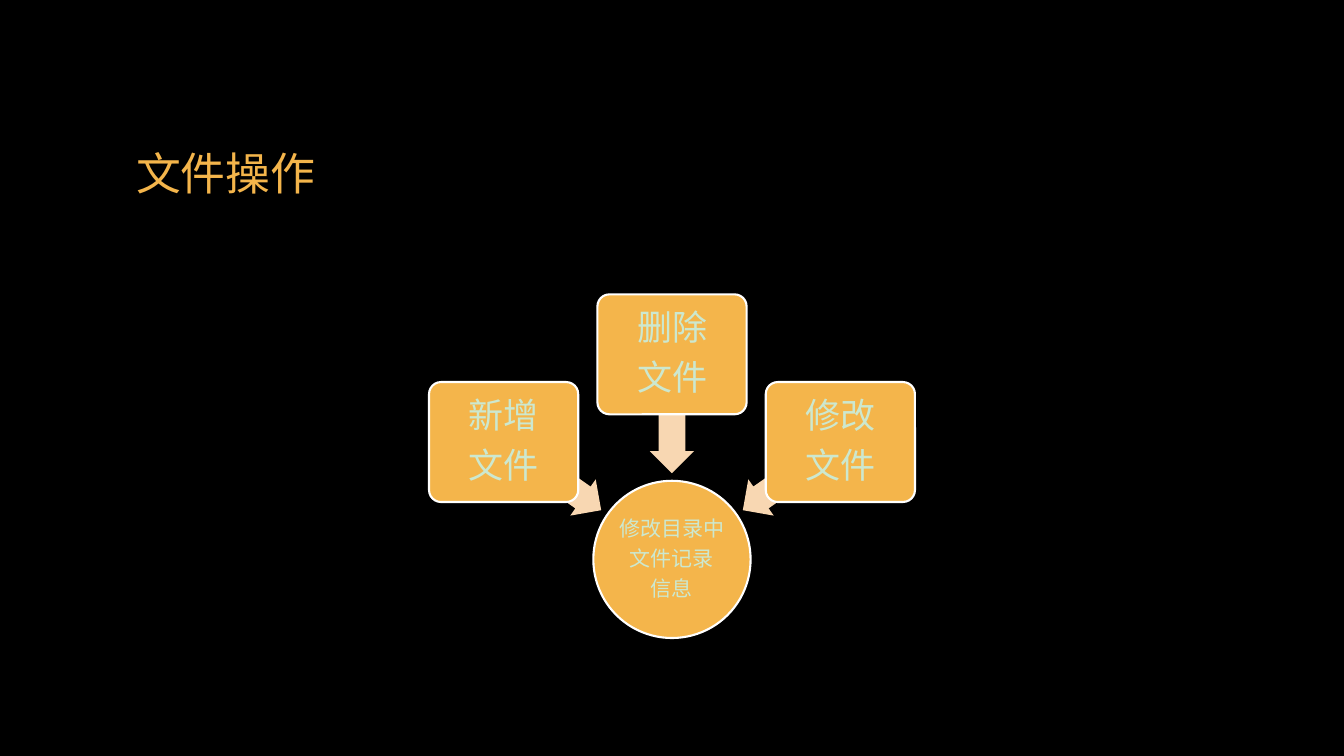
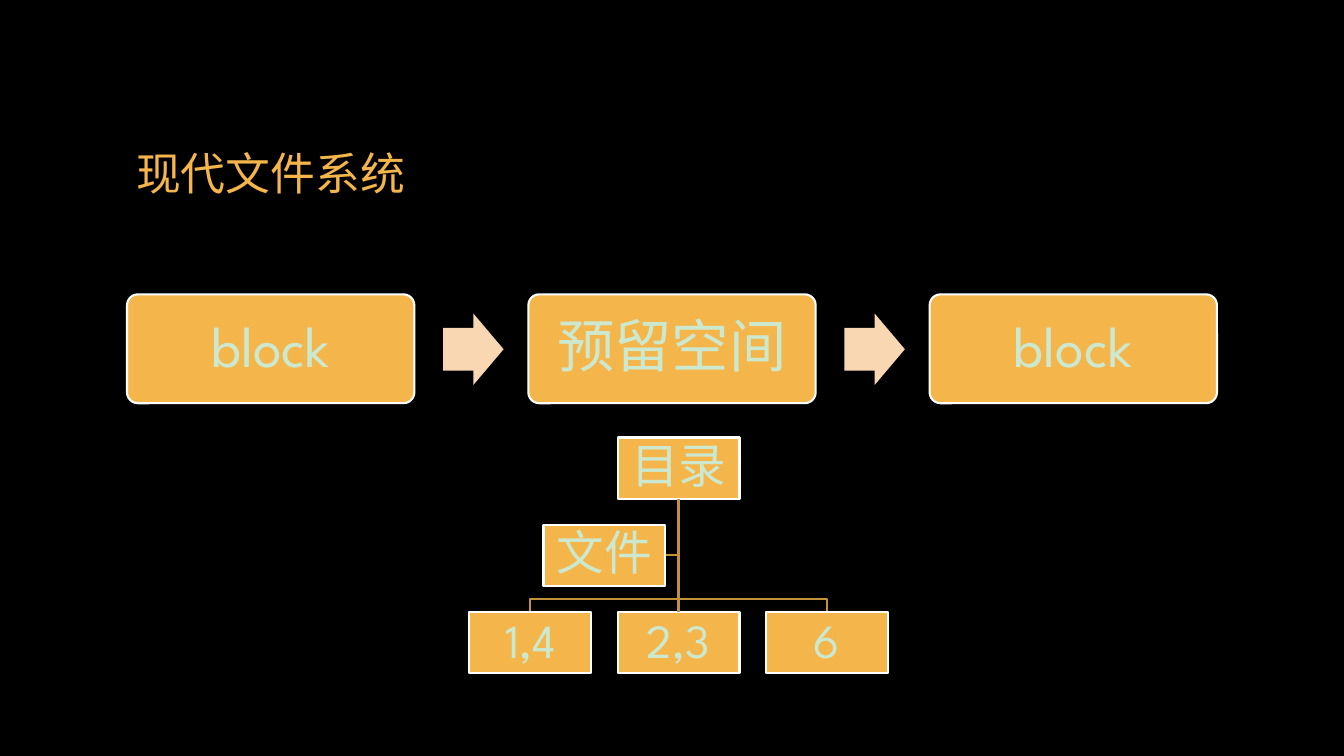
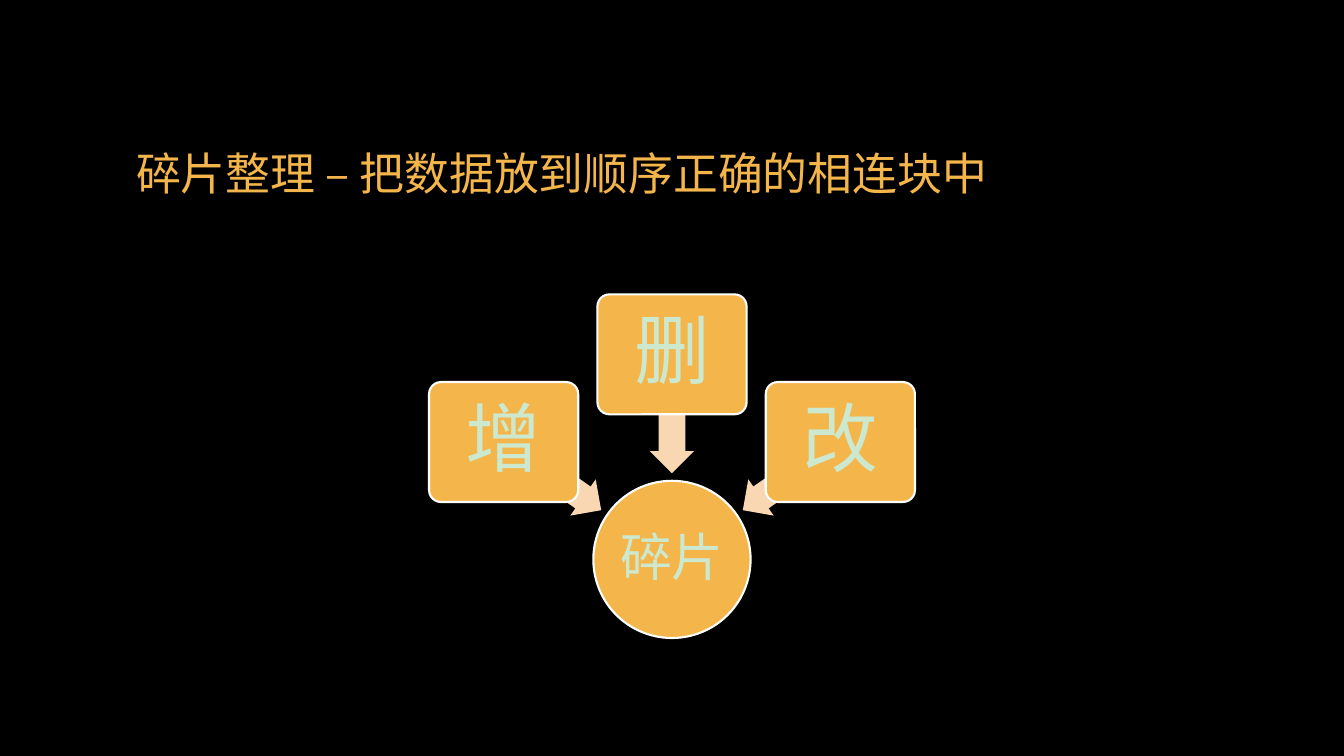
from lxml import etree
from pptx import Presentation
from pptx.dml.color import RGBColor
from pptx.enum.shapes import MSO_CONNECTOR, MSO_SHAPE
from pptx.enum.text import MSO_ANCHOR, MSO_AUTO_SIZE, PP_ALIGN
from pptx.oxml.ns import qn
from pptx.util import Inches, Pt

RECT, ROUND, OVAL = MSO_SHAPE.RECTANGLE, MSO_SHAPE.ROUNDED_RECTANGLE, MSO_SHAPE.OVAL
LEFT_ARROW, RIGHT_ARROW = MSO_SHAPE.LEFT_ARROW, MSO_SHAPE.RIGHT_ARROW
STRAIGHT = MSO_CONNECTOR.STRAIGHT
LEFT, CENTER = PP_ALIGN.LEFT, PP_ALIGN.CENTER
MIDDLE = MSO_ANCHOR.MIDDLE
NO_FIT = MSO_AUTO_SIZE.NONE

FONT = "League Spartan"
BLACK, GOLD, PEACH = "000000", "F4B54B", "F8D7B2"
MINT, EDGE, WIRE = "CCE8CF", "FFFFFF", "C3913C"
WIDTH, HEIGHT = 13.33, 7.5
MID = WIDTH / 2
TOP = 2.92


def paint(target, color):
    """Set a solid fill from a hex string."""
    target.solid()
    target.fore_color.rgb = RGBColor.from_string(color)


def stroke(line, color):
    """Give a line its colour and the shared width."""
    paint(line.fill, color)
    line.width = Pt(1.5)


def write(shape, text, size, color=MINT, align=CENTER, inset=None, tight=True):
    """Write one paragraph per line of text into a shape."""
    frame = shape.text_frame
    frame.text = text
    frame.word_wrap = True
    frame.auto_size = NO_FIT
    frame.vertical_anchor = MIDDLE
    if inset is not None:
        frame.margin_left = frame.margin_right = Inches(inset)
        frame.margin_top = frame.margin_bottom = Inches(inset)
    for para in frame.paragraphs:
        para.alignment = align
        if tight:
            para.line_spacing = 0.9
            para.space_after = Pt(size * 0.35)
        para.font.name = FONT
        para.font.size = Pt(size)
        para.font.color.rgb = RGBColor.from_string(color)


def place(slide, kind, x, y, w, h, fill):
    """Add a flat shape centred on x with its top at y."""
    shape = slide.shapes.add_shape(
        kind, Inches(x - w / 2), Inches(y), Inches(w), Inches(h))
    shape.shadow.inherit = False
    paint(shape.fill, fill)
    shape.line.fill.background()
    return shape


def node(slide, kind, x, y, w, h, text, size, inset):
    """Add an outlined gold shape with its label."""
    shape = place(slide, kind, x, y, w, h, GOLD)
    stroke(shape.line, EDGE)
    if kind == ROUND:
        shape.adjustments[0] = 0.1
    write(shape, text, size, inset=inset)
    return shape


def arrow(slide, kind, x, y, w, h, turn=0):
    """Add a peach block arrow."""
    shape = place(slide, kind, x, y, w, h, PEACH)
    shape.adjustments[0] = 0.6
    shape.adjustments[1] = 0.5
    shape.rotation = turn


def wire(slide, *points):
    """Add an open bent line through the points."""
    first, *rest = [(Inches(x), Inches(y)) for x, y in points]
    build = slide.shapes.build_freeform(*first)
    build.add_line_segments(rest, close=False)
    shape = build.convert_to_shape()
    shape.shadow.inherit = False
    shape.fill.background()
    stroke(shape.line, WIRE)


def join(slide, upper, lower):
    """Join the bottom of one box to the top of another."""
    line = slide.shapes.add_connector(STRAIGHT, 0, 0, 0, 0)
    line.begin_connect(upper, 2)
    line.end_connect(lower, 0)
    stroke(line.line, WIRE)
    etree.SubElement(line._element.spPr, qn("a:effectLst"))


def start(deck, title):
    """Add a slide with the shared title style."""
    slide = deck.slides.add_slide(deck.slide_layouts[5])
    head = slide.shapes.title
    head.left, head.top = Inches(1.25), Inches(0.67)
    head.width, head.height = Inches(10.83), Inches(2.08)
    write(head, title, 32, color=GOLD, align=LEFT, tight=False)
    return slide


def funnel(slide, hub, hub_size, hub_inset, labels, size, inset):
    """Draw three boxes that point to one circle."""
    node(slide, OVAL, MID, 4.77, 1.56, 1.56, hub, hub_size, hub_inset)
    for col, label, turn in zip((-1, 0, 1), labels, (215, 270, 325)):
        drop = abs(col)
        arrow(slide, LEFT_ARROW, MID + col * 1.19, 3.88 + drop * 0.62,
              1.19, 0.44, turn)
        node(slide, ROUND, MID + col * 1.67, TOP + drop * 0.87,
             1.48, 1.19, label, size, inset)


def chain(slide, labels):
    """Draw a row of blocks with arrows in the gaps."""
    step = 3.98
    for i, label in enumerate(labels):
        x = MID + (i - 1) * step
        node(slide, ROUND, x, TOP, 2.85, 1.08, label, 41, 0.17)
        if i:
            arrow(slide, RIGHT_ARROW, x - step / 2 + 0.02, 3.11, 0.6, 0.71)


def tree(slide, root, side, leaves):
    """Draw a root with a side box and a row of leaves."""
    x, y, w, h = 6.73, 4.34, 1.21, 0.61
    col, leaf_y = 1.47, 6.07
    base, side_y = y + h, (y + leaf_y) / 2
    bus = leaf_y - 0.13

    def box(box_x, box_y, text):
        """Add one box of the tree."""
        return node(slide, RECT, box_x, box_y, w, h, text, 34, 0.02)

    side_x = x - col / 2
    side_mid = side_y + h / 2
    wire(slide, (x, base), (x, side_mid), (side_x + w / 2, side_mid))
    for end in (x - col, x + col):
        wire(slide, (x, base), (x, bus), (end, bus), (end, leaf_y))
    top = box(x, y, root)
    row = [box(x + (i - 1) * col, leaf_y, leaf)
           for i, leaf in enumerate(leaves)]
    box(side_x, side_y, side)
    join(slide, top, row[1])


def main():
    """Build and save the deck."""
    deck = Presentation()
    deck.slide_width, deck.slide_height = Inches(WIDTH), Inches(HEIGHT)
    paint(deck.slide_master.background.fill, BLACK)

    slide = start(deck, "文件操作")
    funnel(slide, "修改目录中\n文件记录\n信息", 15, 0.01,
           ("新增\n文件", "删除\n文件", "修改\n文件"), 25, 0.05)

    slide = start(deck, "现代文件系统")
    chain(slide, ("block", "预留空间", "block"))
    tree(slide, "目录", "文件", ("1,4", "2,3", "6"))

    slide = start(deck, "碎片整理 – 把数据放到顺序正确的相连块中")
    funnel(slide, "碎片", 37, 0.03, ("增", "删", "改"), 54, 0.11)

    deck.save("out.pptx")


if __name__ == "__main__":
    main()
